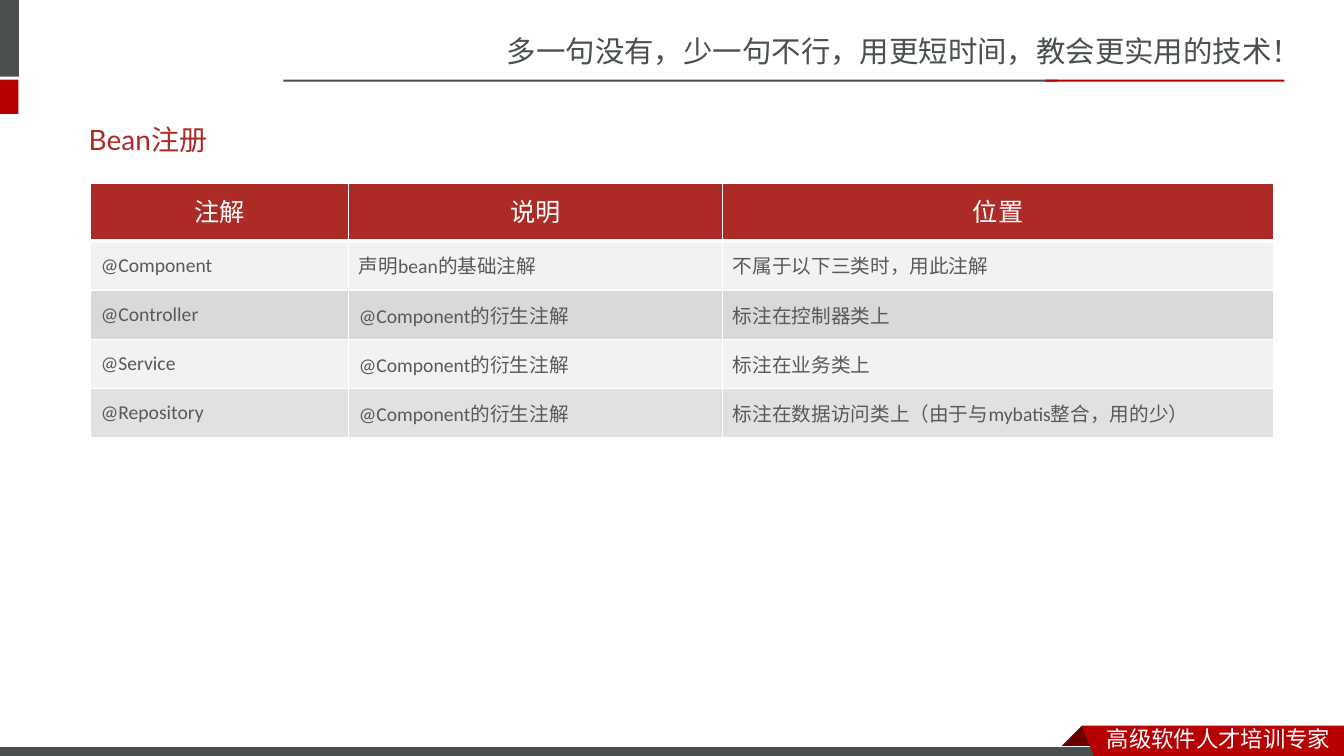
from lxml import etree
from pptx import Presentation
from pptx.dml.color import RGBColor
from pptx.enum.shapes import MSO_SHAPE
from pptx.enum.text import MSO_ANCHOR, PP_ALIGN
from pptx.oxml.ns import qn
from pptx.util import Inches, Pt

RECT = MSO_SHAPE.RECTANGLE
MIDDLE = MSO_ANCHOR.MIDDLE
LEFT, CENTER = PP_ALIGN.LEFT, PP_ALIGN.CENTER
WIDTH, HEIGHT = Inches(13.33), Inches(7.5)
CJK = "Noto Sans CJK SC"
COLORS = {
    "slate": "49504F", "red": "B60004", "fold": "680000", "white": "FFFFFF",
    "title": "AD2A26", "head": "AD2B26", "text": "595959",
    "light": "F2F2F2", "grey": "D9D9D9", "pale": "E1E1E1",
}
ROWS = [
    ("注解", "说明", "位置"),
    ("@Component", "声明bean的基础注解", "不属于以下三类时，用此注解"),
    ("@Controller", "@Component的衍生注解", "标注在控制器类上"),
    ("@Service", "@Component的衍生注解", "标注在业务类上"),
    ("@Repository", "@Component的衍生注解", "标注在数据访问类上（由于与mybatis整合，用的少）"),
]
FILLS = ["head", "light", "grey", "light", "pale"]
COLS = [21.82, 31.63, 46.55]
TALL = [22.6] + [19.35] * 4


def color(name):
    """Return the named colour."""
    return RGBColor.from_string(COLORS[name])


def place(box, x, y, w, h):
    """Turn percentages of a box into a box on the slide."""
    left, top, width, height = box
    return (round(left + width * x / 100), round(top + height * y / 100),
            round(width * w / 100), round(height * h / 100))


def style(para, font, size, ink, align=LEFT):
    """Set the font and alignment of a paragraph."""
    para.alignment = align
    para.font.name = font
    para.font.size = Pt(size)
    para.font.color.rgb = color(ink)


def paint(shape, fill, line=None):
    """Fill a shape and draw or drop its outline."""
    shape.shadow.inherit = False
    shape.fill.solid()
    shape.fill.fore_color.rgb = color(fill)
    if line:
        shape.line.color.rgb = color(line)
        shape.line.width = Pt(0.75)
    else:
        shape.line.fill.background()


def bar(slide, box, fill, line=None):
    """Add a plain rectangle."""
    paint(slide.shapes.add_shape(RECT, *box), fill, line)


def outline(slide, box, points, fill):
    """Add a closed polygon from percentages of a box."""
    spots = [place(box, x, y, 0, 0)[:2] for x, y in points]
    draft = slide.shapes.build_freeform(*spots[0])
    draft.add_line_segments(spots[1:], close=True)
    paint(draft.convert_to_shape(), fill)


def label(slide, box, text, size, ink):
    """Add a text box with one line."""
    frame = slide.shapes.add_textbox(*box).text_frame
    frame.word_wrap = True
    frame.text = text
    style(frame.paragraphs[0], CJK, size, ink)


def header(slide, box):
    """Draw the side marks, the slogan and its rule."""
    label(slide, place(box, 36.98, 23.33, 63.02, 39.17),
          "多一句没有，少一句不行，用更短时间，教会更实用的技术！", 21, "slate")
    bar(slide, place(box, 0, 0, 1.41, 63.33), "slate")
    bar(slide, place(box, 0, 65.83, 1.38, 28.33), "red")
    bar(slide, place(box, 21.08, 65.83, 57.61, 1.67), "slate")
    bar(slide, place(box, 77.79, 65.83, 17.78, 1.67), "red")


def footer(slide, box):
    """Draw the bottom strip and the folded ribbon."""
    outline(slide, box, [(80.5, 14.29), (82.15, 77.14), (82.07, 80),
                         (78.92, 80), (78.84, 77.14)], "fold")
    bar(slide, place(box, -0.08, 74.29, 82.52, 34.29), "slate", "white")
    outline(slide, box, [(80.5, 14.29), (100, 14.29),
                         (100, 111.43), (81.47, 108.57)], "red")
    label(slide, place(box, 81.62, 0, 18.38, 105.71),
          "高级软件人才培训专家", 16, "white")


def edge(cell, side, width):
    """Draw one white border of a cell."""
    line = etree.SubElement(cell._tc.get_or_add_tcPr(), qn(f"a:ln{side}"),
                            w=str(Pt(width)))
    fill = etree.SubElement(line, qn("a:solidFill"))
    etree.SubElement(fill, qn("a:srgbClr"), val=COLORS["white"])


def fill_cell(cell, text, row):
    """Write and format one cell according to its row."""
    head = row == 0
    for side in "LRTB":
        thick = (row, side) in [(0, "B"), (1, "T")]
        edge(cell, side, 3 if thick else 1)
    cell.fill.solid()
    cell.fill.fore_color.rgb = color(FILLS[row])
    cell.vertical_anchor = MIDDLE
    cell.text = text
    para = cell.text_frame.paragraphs[0]
    if head:
        style(para, "Calibri", 18, "white", CENTER)
        para.line_spacing = Pt(24)
    else:
        style(para, "Calibri", 14, "text")


def grid(slide, box):
    """Build the table of annotations."""
    table = slide.shapes.add_table(len(ROWS), len(COLS), *box).table
    for col, share in zip(table.columns, COLS):
        col.width = round(box[2] * share / 100)
    for row, share in zip(table.rows, TALL):
        row.height = round(box[3] * share / 100)
    for r, texts in enumerate(ROWS):
        for c, text in enumerate(texts):
            fill_cell(table.cell(r, c), text, r)


def body(slide, box):
    """Place the title and the table below it."""
    title = slide.shapes.title
    title.left, title.top, title.width, title.height = place(
        box, 0, 0, 55.61, 17.59)
    frame = title.text_frame
    frame.text = "Bean注册"
    frame.vertical_anchor = MIDDLE
    style(frame.paragraphs[0], "Lato", 20, "title")
    grid(slide, place(box, 1.01, 22.22, 98.99, 77.78))


def main():
    """Build and save the slide."""
    deck = Presentation()
    deck.slide_width, deck.slide_height = WIDTH, HEIGHT
    slide = deck.slides.add_slide(deck.slide_layouts[5])
    page = (0, 0, WIDTH, HEIGHT)
    header(slide, place(page, 0, 0, 100, 16))
    footer(slide, place(page, 0, 95.33, 100, 4.67))
    body(slide, place(page, 5.85, 14.67, 88.9, 43.2))
    deck.save("out.pptx")


if __name__ == "__main__":
    main()
